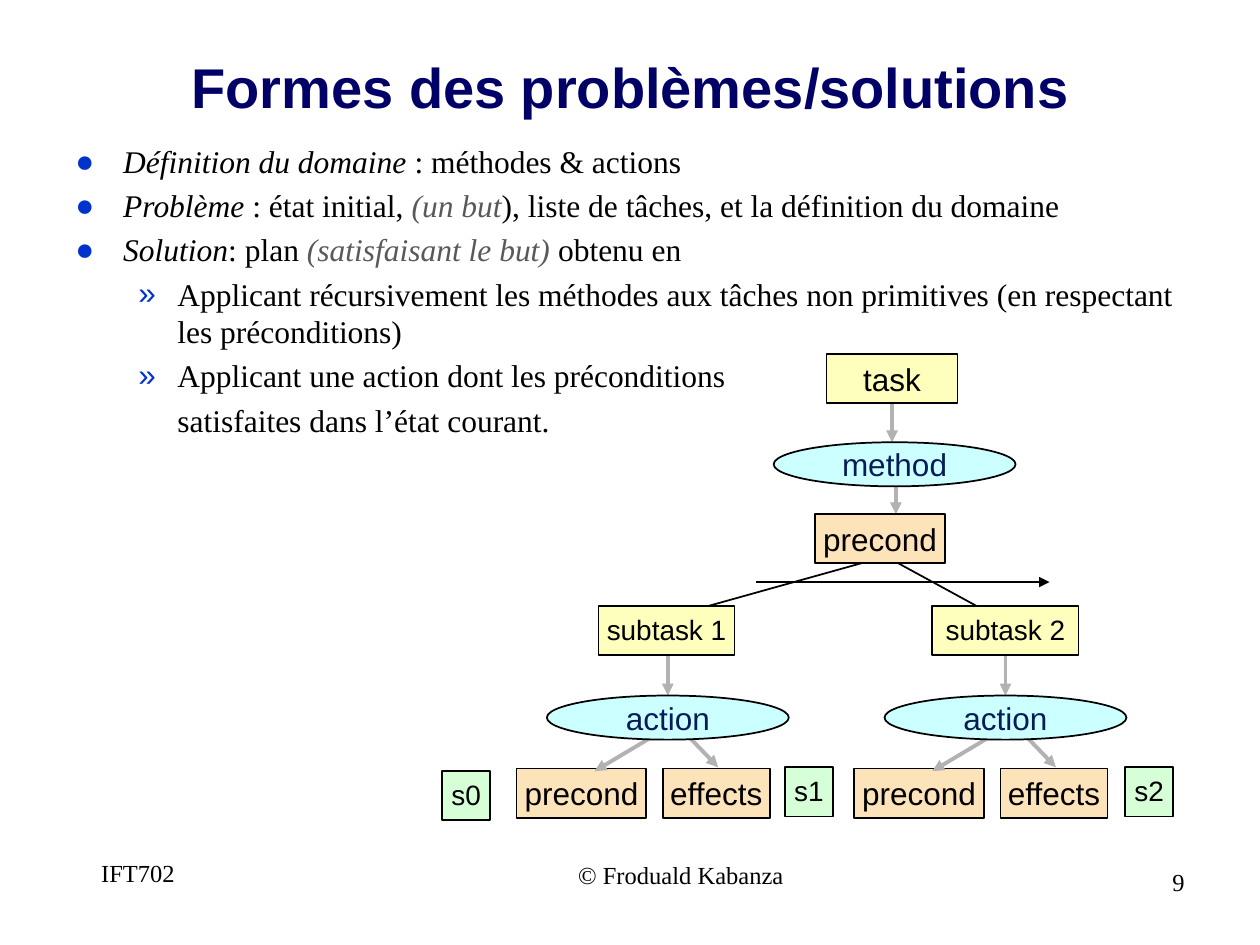
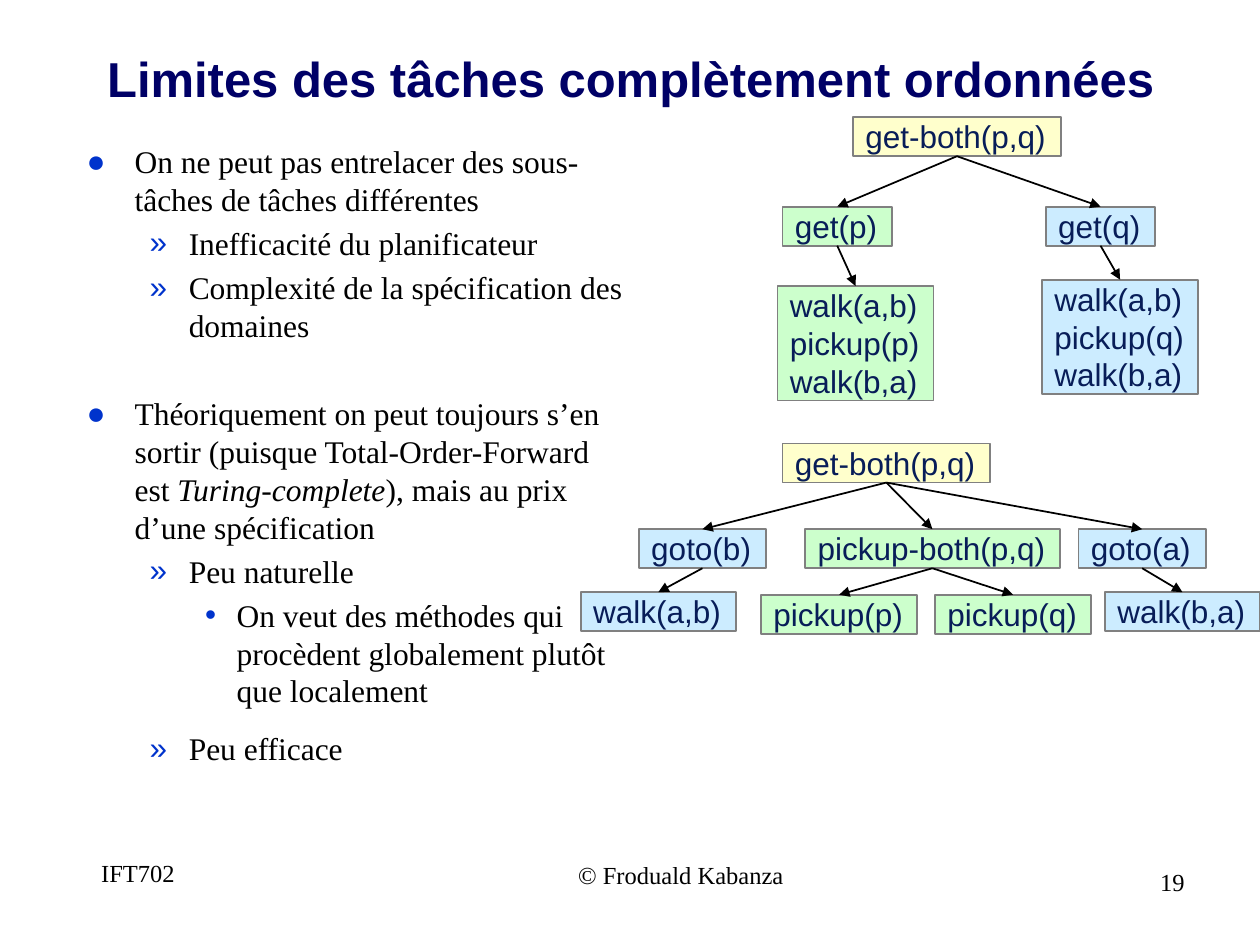
"""Build two lecture slides about hierarchical task planning."""
import pptx
import pptx.dml.color
import pptx.enum.shapes
import pptx.enum.text
import pptx.oxml
import pptx.oxml.ns
import pptx.util

Inches, Pt = pptx.util.Inches, pptx.util.Pt
ALIGN = pptx.enum.text.PP_ALIGN
ANCHOR = pptx.enum.text.MSO_ANCHOR
SHAPE = pptx.enum.shapes.MSO_SHAPE
qn = pptx.oxml.ns.qn

COLORS = {
    "title": "000066", "text": "000000", "muted": "595959", "bullet": "0033CC",
    "navy": "081D58", "black": "000000", "arrow": "B2B2B2", "border": "808080",
    "task": "FFFFBD", "precond": "FDE3BA", "method": "CCFFFF", "state": "D7FFD7",
    "goal": "FFFFCC", "green": "CCFFCC", "blue": "CCECFF",
}
SERIF, SANS = "Times New Roman", "Arial"

# Outline levels: left margin, hanging indent (inches) and bullet
LEVELS = [(0.38, -0.38, "●"), (0.81, -0.31, "»"), (1.19, -0.25, "•")]

# Box styles of the planning tree: shape, fill, font colour, size, anchor, inset
NODES = {
    "task": (SHAPE.RECTANGLE, "task", "text", 18, ANCHOR.MIDDLE, 0.05),
    "subtask": (SHAPE.RECTANGLE, "task", "text", 16, ANCHOR.TOP, 0.05),
    "precond": (SHAPE.RECTANGLE, "precond", "text", 18, ANCHOR.MIDDLE, 0.05),
    "method": (SHAPE.OVAL, "method", "navy", 18, ANCHOR.MIDDLE, 0),
    "state": (SHAPE.RECTANGLE, "state", "text", 16, ANCHOR.TOP, 0.05),
}


def rgb(name):
    """Return the named colour."""
    return pptx.dml.color.RGBColor.from_string(COLORS[name])


def add_run(p, text, color="text", **fmt):
    """Add a run with the given font values."""
    r = p.add_run()
    r.text = text
    for key, value in fmt.items():
        setattr(r.font, key, value)
    r.font.color.rgb = rgb(color)


def set_frame(tf, anchor=ANCHOR.TOP, wrap=True, x=0.1, y=0.05):
    """Set anchor, wrapping and insets of a text frame."""
    values = {
        "word_wrap": wrap, "vertical_anchor": anchor,
        "margin_left": Inches(x), "margin_right": Inches(x),
        "margin_top": Inches(y), "margin_bottom": Inches(y),
    }
    for key, value in values.items():
        setattr(tf, key, value)


def add_text(slide, box, text, align=ALIGN.LEFT, anchor=ANCHOR.TOP,
             color="text", **fmt):
    """Add a text box with one line of text."""
    tf = slide.shapes.add_textbox(*map(Inches, box)).text_frame
    set_frame(tf, anchor)
    p = tf.paragraphs[0]
    p.alignment = align
    add_run(p, text, color, **fmt)


def add_base(prs, title, number, top, height, size):
    """Add a slide with its title, footers and number."""
    slide = prs.slides.add_slide(prs.slide_layouts[6])
    add_text(slide, (0.17, top, 9.67, height), title, ALIGN.CENTER,
             ANCHOR.BOTTOM, "title", name=SANS, size=Pt(size), bold=True)
    footers = [
        ((0.6, 6.76, 0.99, 0.52), "IFT702", ALIGN.CENTER),
        ((4.49, 6.78, 1.86, 0.52), "© Froduald Kabanza", ALIGN.LEFT),
        ((7.17, 6.83, 2.33, 0.52), str(number), ALIGN.RIGHT),
    ]
    for box, text, align in footers:
        add_text(slide, box, text, align, name=SERIF, size=Pt(14))
    return slide


def set_bullet(p, level, bullet=True):
    """Give a paragraph its outline level, indent and bullet."""
    left, hang, char = LEVELS[level]
    p.level = level
    ppr = p._p.get_or_add_pPr()
    ppr.set("marL", str(Inches(left)))
    ppr.set("indent", str(Inches(hang) if bullet else 0))
    if not bullet:
        ppr.append(pptx.oxml.parse_xml(
            '<a:buNone %s/>' % pptx.oxml.ns.nsdecls("a")))
        return
    for xml in ('<a:buClr %s><a:srgbClr val="{}"/></a:buClr>'.format(COLORS["bullet"]),
                '<a:buFont %s typeface="{}"/>'.format(SANS),
                '<a:buChar %s char="{}"/>'.format(char)):
        ppr.append(pptx.oxml.parse_xml(xml % pptx.oxml.ns.nsdecls("a")))


def add_outline(slide, box, items):
    """Add outline text; items are (level, runs, options)."""
    tf = slide.shapes.add_textbox(*map(Inches, box)).text_frame
    set_frame(tf)
    for i, (level, runs, options) in enumerate(items):
        p = tf.add_paragraph() if i else tf.paragraphs[0]
        p.space_before = Pt(options.get("before", 3.6))
        set_bullet(p, level, options.get("bullet", True))
        for text, color, italic in runs:
            add_run(p, text, color, name=SERIF, size=Pt(18), italic=italic)


def plain(text):
    """Return an upright run."""
    return (text, "text", False)


def italic(text, color="text"):
    """Return an italic run."""
    return (text, color, True)


def add_box(slide, box, lines, kind, fill, color, size, line="black",
            align=ALIGN.CENTER):
    """Add an outlined shape with lines of text."""
    sp = slide.shapes.add_shape(kind, *map(Inches, box))
    sp.shadow.inherit = False
    sp.fill.solid()
    sp.fill.fore_color.rgb = rgb(fill)
    sp.line.color.rgb = rgb(line)
    sp.line.width = Pt(1)
    tf = sp.text_frame
    for i, text in enumerate(lines):
        p = tf.add_paragraph() if i else tf.paragraphs[0]
        p.alignment = align
        add_run(p, text, color, name=SANS, size=Pt(size))
    return sp


def add_node(slide, style, text, *box):
    """Add a box of the planning tree."""
    kind, fill, color, size, anchor, inset = NODES[style]
    sp = add_box(slide, box, [text], kind, fill, color, size)
    set_frame(sp.text_frame, anchor, False, inset, inset)


def add_step(slide, fill, text, left, top, width):
    """Add a box of a decomposition, as high as its lines."""
    lines = text.split("\n")
    height = 0.31 if len(lines) == 1 else 0.91
    sp = add_box(slide, (left, top, width, height), lines, SHAPE.RECTANGLE,
                 fill, "navy", 18, "border", ALIGN.LEFT)
    set_frame(sp.text_frame, ANCHOR.TOP, False, 0.1, 0)
    return sp


def add_line(slide, x1, y1, x2, y2, color="black", width=1, head=True):
    """Add a straight line, with an arrowhead if asked."""
    cx = slide.shapes.add_connector(
        pptx.enum.shapes.MSO_CONNECTOR.STRAIGHT,
        *map(Inches, (x1, y1, x2, y2)))
    cx.line.color.rgb = rgb(color)
    cx.line.width = Pt(width)
    if head:
        ln = cx.line._get_or_add_ln()
        ln.append(ln.makeelement(qn("a:tailEnd"), {"type": "triangle"}))
    sppr = cx._element.spPr
    sppr.append(sppr.makeelement(qn("a:effectLst"), {}))
    return cx


def add_arrow(slide, *ends):
    """Add a thick grey arrow."""
    add_line(slide, *ends, color="arrow", width=2.25)


def link(slide, parent, *children):
    """Draw arrows from the bottom of a box to the tops of its children."""
    for child in children:
        cx = add_line(slide, 0, 0, 1, 1)
        cx.begin_connect(parent, 2)
        cx.end_connect(child, 0)


def add_action(slide, x):
    """Add an action with its preconditions and effects, x from the left."""
    add_node(slide, "precond", "precond", x, 6.1, 1.03, 0.39)
    add_node(slide, "precond", "effects", x + 1.16, 6.1, 0.85, 0.39)
    add_arrow(slide, x + 1.14, 5.81, x + 0.62, 6.12)
    add_arrow(slide, x + 1.36, 5.84, x + 1.6, 6.09)
    add_arrow(slide, x + 1.2, 5.17, x + 1.2, 5.52)
    add_node(slide, "method", "action", x + 0.24, 5.52, 1.92, 0.35)


def build_forms(prs):
    """Build the slide on problems and solutions."""
    slide = add_base(prs, "Formes des problèmes/solutions", 9, 0.11, 0.89, 32)
    add_outline(slide, (0.5, 1.08, 9, 4.97), [
        (0, [italic("Définition du domaine "), plain(": méthodes & actions")], {}),
        (0, [italic("Problème "), plain(": état initial, "),
             italic("(un but", "muted"),
             plain("), liste de tâches, et la définition du domaine")], {}),
        (0, [italic("Solution"), plain(": plan "),
             italic("(satisfaisant le but) ", "muted"), plain("obtenu en")], {}),
        (1, [plain("Applicant récursivement les méthodes aux tâches non "
                   "primitives (en respectant les préconditions)")], {}),
        (1, [plain("Applicant une action dont les préconditions")], {}),
        (1, [plain("satisfaites dans l’état courant.")], {"bullet": False}),
    ])
    add_arrow(slide, 7.08, 3.16, 7.08, 3.51)
    add_arrow(slide, 7.11, 3.73, 7.11, 4.08)
    add_line(slide, 6.98, 4.43, 5.62, 4.81, head=False)
    add_line(slide, 7.11, 4.46, 7.77, 4.82, head=False)
    add_line(slide, 6, 4.62, 8.33, 4.62)
    add_node(slide, "task", "task", 6.56, 2.81, 1.04, 0.39)
    add_node(slide, "method", "method", 6.14, 3.51, 1.92, 0.35)
    add_node(slide, "precond", "precond", 6.47, 4.08, 1.03, 0.39)
    for x in (4.1, 6.78):
        add_action(slide, x)
    add_node(slide, "subtask", "subtask 1", 4.75, 4.81, 1.08, 0.39)
    add_node(slide, "subtask", "subtask 2", 7.4, 4.81, 1.16, 0.39)
    for text, x, y in (("s0", 3.51, 6.12), ("s1", 6.23, 6.09), ("s2", 8.93, 6.09)):
        add_node(slide, "state", text, x, y, 0.38, 0.39)


def build_limits(prs):
    """Build the slide on the limits of totally ordered tasks."""
    slide = add_base(prs, "Limites des tâches complètement ordonnées",
                     19, 0.23, 0.67, 28)
    add_outline(slide, (0.59, 1.08, 4.47, 5.65), [
        (0, [plain("On ne peut pas entrelacer des sous-tâches de tâches "
                   "différentes")], {}),
        (1, [plain("Inefficacité du planificateur")], {}),
        (1, [plain("Complexité de la spécification des domaines")], {}),
        (0, [plain("Théoriquement on peut toujours s’en sortir (puisque "
                   "Total-Order-Forward est "), italic("Turing-complete"),
             plain("), mais au prix d’une spécification")], {"before": 28.8}),
        (1, [plain("Peu naturelle")], {}),
        (2, [plain("On veut des méthodes qui procèdent globalement plutôt "
                   "que localement")], {}),
        (1, [plain("Peu efficace")], {"before": 11.5}),
    ])
    # Separate tasks
    both = add_step(slide, "goal", "get-both(p,q)", 6.77, 0.93, 1.65)
    get_p = add_step(slide, "green", "get(p)", 6.21, 1.64, 0.87)
    get_q = add_step(slide, "blue", "get(q)", 8.3, 1.64, 0.87)
    plan_p = add_step(slide, "green", "walk(a,b)\npickup(p)\nwalk(b,a)", 6.17, 2.27, 1.24)
    plan_q = add_step(slide, "blue", "walk(a,b)\npickup(q)\nwalk(b,a)", 8.27, 2.22, 1.24)
    link(slide, both, get_p, get_q)
    link(slide, get_p, plan_p)
    link(slide, get_q, plan_q)
    # Joint task
    both = add_step(slide, "goal", "get-both(p,q)", 6.21, 3.52, 1.65)
    goto_b = add_step(slide, "blue", "goto(b)", 5.07, 4.2, 1.01)
    pickup = add_step(slide, "green", "pickup-both(p,q)", 6.39, 4.2, 2.02)
    goto_a = add_step(slide, "blue", "goto(a)", 8.56, 4.2, 1.01)
    walk_b = add_step(slide, "blue", "walk(a,b)", 4.61, 4.7, 1.23)
    pickup_p = add_step(slide, "green", "pickup(p)", 6.04, 4.72, 1.24)
    pickup_q = add_step(slide, "green", "pickup(q)", 7.42, 4.72, 1.24)
    walk_a = add_step(slide, "blue", "walk(b,a)", 8.77, 4.7, 1.23)
    link(slide, both, goto_b, pickup, goto_a)
    link(slide, goto_b, walk_b)
    link(slide, pickup, pickup_p, pickup_q)
    link(slide, goto_a, walk_a)


def main():
    """Build and save the presentation."""
    prs = pptx.Presentation()
    prs.slide_width, prs.slide_height = Inches(10), Inches(7.5)
    build_forms(prs)
    build_limits(prs)
    prs.save("out.pptx")


main()
